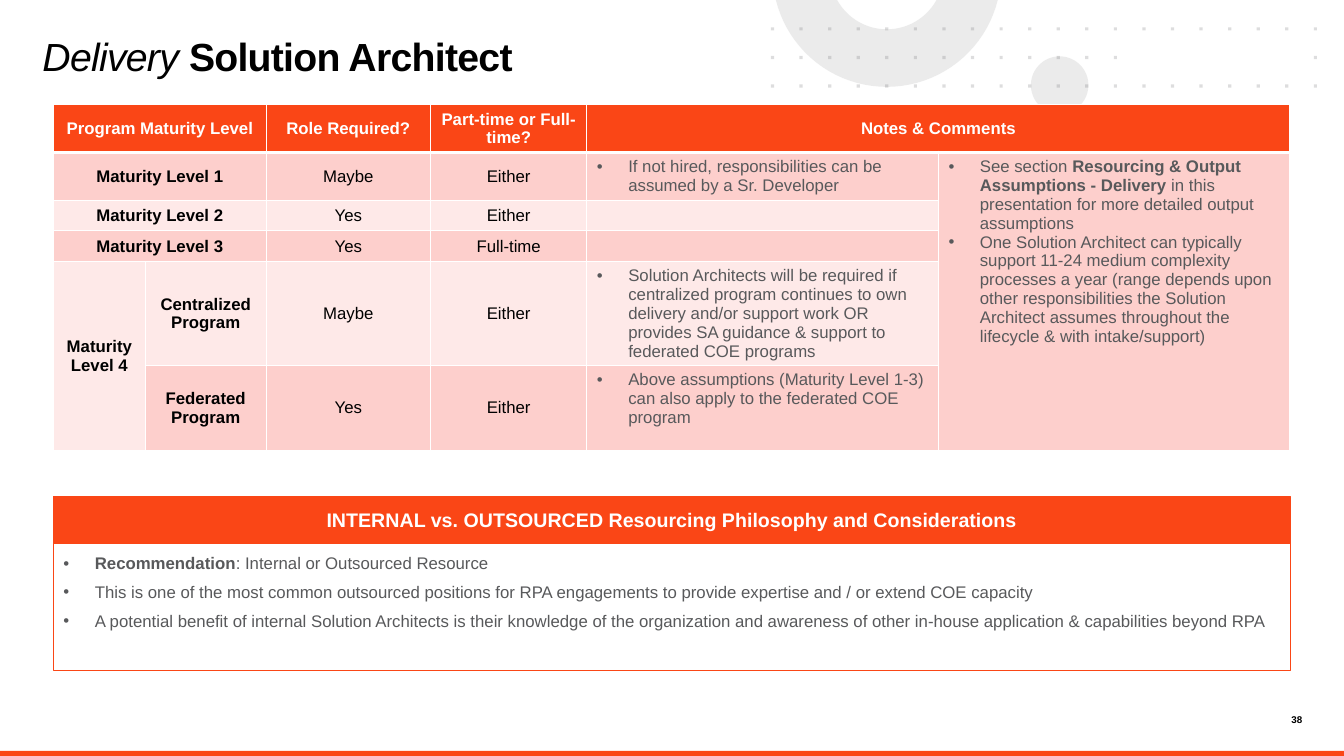
import math

from lxml import etree
from pptx import Presentation
from pptx import util as u
from pptx.dml.color import RGBColor
from pptx.enum import shapes, text
from pptx.oxml.ns import qn

ORANGE, PINK, PALE = "FA4616", "FDCFCC", "FEE9E8"
BLACK, WHITE, GREY, LIGHT = "000000", "FFFFFF", "58595B", "D9D9D9"
CENTER, LEFT = text.PP_ALIGN.CENTER, text.PP_ALIGN.LEFT
MIDDLE, TOP = text.MSO_ANCHOR.MIDDLE, text.MSO_ANCHOR.TOP


def paint(fill, colour):
    fill.solid()
    fill.fore_color.rgb = RGBColor.from_string(colour)


def write(frame, lines, colour, size=12, bullet=False, align=LEFT, after=0):
    """Fill a text frame with one paragraph per line; **marks** enclose bold text."""
    for number, line in enumerate(lines):
        paragraph = frame.paragraphs[0] if number == 0 else frame.add_paragraph()
        layout = {"alignment": align, "space_before": u.Pt(0), "space_after": u.Pt(after)}
        for name, value in layout.items():
            setattr(paragraph, name, value)
        if bullet:
            properties = paragraph._p.get_or_add_pPr()
            properties.set("marL", str(u.Cm(0.79)))
            properties.set("indent", str(u.Cm(-0.79)))
            etree.SubElement(properties, qn("a:buFont"), typeface="Arial")
            etree.SubElement(properties, qn("a:buChar"), char="•")
        for index, part in enumerate(line.split("**")):
            if part:
                run = paragraph.add_run()
                run.text = part
                font = {"name": "Arial", "size": u.Pt(size), "bold": index % 2 == 1}
                for name, value in font.items():
                    setattr(run.font, name, value)
                paint(run.font.fill, colour)


presentation = Presentation()
presentation.slide_width, presentation.slide_height = u.Cm(33.87), u.Cm(19.05)
slide = presentation.slides.add_slide(presentation.slide_layouts[1])
title, considerations = slide.placeholders

# Background decoration
circle = slide.shapes.add_shape(
    shapes.MSO_SHAPE.OVAL, u.Cm(25.98), u.Cm(1.42), u.Cm(1.45), u.Cm(1.45))

center_x, center_y = 22.35, -0.69
ring_points = []
for radius, direction in ((2.88, 1), (1.43, -1)):
    start = math.asin(-center_y / radius)
    sweep = math.pi - 2 * start
    for step in range(0, 41)[::direction]:
        angle = start + sweep * step / 40
        ring_points.append((u.Cm(center_x + radius * math.cos(angle)),
                            u.Cm(center_y + radius * math.sin(angle))))
builder = slide.shapes.build_freeform(*ring_points[0])
builder.add_line_segments(ring_points[1:])
ring = builder.convert_to_shape()

dot, pitch = 0.08, 0.72
builder = None
for row in range(3):
    for column in range(20):
        if row == 1 and 13 <= column <= 18:
            continue
        x, y = 19.43 + pitch * column, 0.69 + pitch * row
        if builder is None:
            builder = slide.shapes.build_freeform(u.Cm(x), u.Cm(y))
        else:
            builder.move_to(u.Cm(x), u.Cm(y))
        builder.add_line_segments([
            (u.Cm(x + dot), u.Cm(y)), (u.Cm(x + dot), u.Cm(y + dot)), (u.Cm(x), u.Cm(y + dot))])
dots = builder.convert_to_shape()

footer_bar = slide.shapes.add_shape(
    shapes.MSO_SHAPE.RECTANGLE, 0, u.Cm(18.92), u.Cm(33.87), u.Cm(0.13))

for shape, colour, opacity in (
        (circle, LIGHT, 50), (ring, LIGHT, 50), (dots, GREY, 20), (footer_bar, ORANGE, 100)):
    shape.shadow.inherit = False
    shape.line.fill.background()
    paint(shape.fill, colour)
    if opacity < 100:
        solid_colour = shape._element.spPr.find(".//" + qn("a:srgbClr"))
        etree.SubElement(solid_colour, qn("a:alpha"), val=str(opacity * 1000))

# Title, list panel, panel heading and slide number
heading = slide.shapes.add_shape(shapes.MSO_SHAPE.RECTANGLE, 0, 0, 0, 0)
page_number = slide.shapes.add_textbox(0, 0, 0, 0)
for shape, left, top, width, height, inset, anchor in (
        (title, 1.07, 0.99, 18.36, 1.9, 0, TOP),
        (considerations, 1.35, 13.69, 31.17, 3.2, 0.25, TOP),
        (heading, 1.35, 12.52, 31.17, 1.17, 0.25, MIDDLE),
        (page_number, 31.83, 17.98, 0.99, 0.33, 0, TOP)):
    box = {"left": left, "top": top, "width": width, "height": height}
    for name, value in box.items():
        setattr(shape, name, u.Cm(value))
    frame_format = {"word_wrap": True, "auto_size": text.MSO_AUTO_SIZE.NONE,
                    "vertical_anchor": anchor}
    for side in ("left", "top", "right", "bottom"):
        frame_format["margin_" + side] = u.Cm(inset)
    for name, value in frame_format.items():
        setattr(shape.text_frame, name, value)

write(title.text_frame, ["Delivery **Solution Architect**"], BLACK, size=28)
title_paragraph = title.text_frame.paragraphs[0]
title_paragraph.line_spacing = 0.85
title_paragraph.runs[0].font.italic = True
for run in title_paragraph.runs:
    run.font._element.set("spc", "-50")

heading.shadow.inherit = False
for shape, colour in ((considerations, WHITE), (heading, ORANGE)):
    paint(shape.fill, colour)
    paint(shape.line.fill, ORANGE)
    shape.line.width = u.Pt(0.75)
write(considerations.text_frame, [
    "**Recommendation**: Internal or Outsourced Resource",
    "This is one of the most common outsourced positions for RPA engagements to provide "
    "expertise and / or extend COE capacity",
    "A potential benefit of internal Solution Architects is their knowledge of the organization "
    "and awareness of other in-house application & capabilities beyond RPA",
], GREY, bullet=True, after=6)
write(heading.text_frame,
      ["**INTERNAL vs. OUTSOURCED Resourcing Philosophy and Considerations**"],
      WHITE, size=14, align=CENTER, after=6)
write(page_number.text_frame, ["**38**"], BLACK, size=7, align=text.PP_ALIGN.RIGHT)

# Maturity table
output_notes = [
    "See section **Resourcing & Output Assumptions - Delivery** in this presentation for more "
    "detailed output assumptions",
    "One Solution Architect can typically support 11-24 medium complexity processes a year "
    "(range depends upon other responsibilities the Solution Architect assumes throughout the "
    "lifecycle & with intake/support)"]
maturity_rows = [
    ["**Program Maturity Level**", "", "**Role Required?**", "**Part-time or Full-time?**",
     "**Notes & Comments**", ""],
    ["**Maturity Level 1**", "", "Maybe", "Either",
     "If not hired, responsibilities can be assumed by a Sr. Developer", output_notes],
    ["**Maturity Level 2**", "", "Yes", "Either", "", ""],
    ["**Maturity Level 3**", "", "Yes", "Full-time", "", ""],
    ["**Maturity Level 4**", "**Centralized Program**", "Maybe", "Either",
     "Solution Architects will be required if centralized program continues to own delivery "
     "and/or support work OR provides SA guidance & support to federated COE programs", ""],
    ["", "**Federated Program**", "Yes", "Either",
     "Above assumptions (Maturity Level 1-3) can also apply to the federated COE program", ""]]
row_fills = [ORANGE, PINK, PALE, PINK, PALE, PINK]
column_widths = [2.31, 3.05, 4.14, 3.94, 8.86, 8.86]
row_heights = [1.2, 1.2, 0.73, 0.73, 2.62, 2.13]

table = slide.shapes.add_table(
    6, 6, u.Cm(1.35), u.Cm(2.64), u.Cm(sum(column_widths)), u.Cm(sum(row_heights))).table
table.first_row = table.horz_banding = False
for column, width in zip(table.columns, column_widths):
    column.width = u.Cm(width)

for r, (row, height, colour) in enumerate(zip(maturity_rows, row_heights, row_fills)):
    table.rows[r].height = u.Cm(height)
    for c, content in enumerate(row):
        cell = table.cell(r, c)
        for side in ("lnL", "lnR", "lnT", "lnB"):
            thick = (r, side) in ((0, "lnB"), (1, "lnT"))
            border = etree.SubElement(cell._tc.get_or_add_tcPr(), qn("a:" + side),
                                      w=str(u.Pt(3 if thick else 1)))
            border_fill = etree.SubElement(border, qn("a:solidFill"))
            etree.SubElement(border_fill, qn("a:srgbClr"), val=WHITE)
        paint(cell.fill, colour)
        if not content:
            etree.SubElement(cell.text_frame.paragraphs[0]._p, qn("a:endParaRPr"), sz="1200")
            continue
        is_note = r > 0 and c >= 4
        cell.vertical_anchor = TOP if is_note else MIDDLE
        write(cell.text_frame, content if isinstance(content, list) else [content],
              WHITE if r == 0 else GREY if is_note else BLACK,
              bullet=is_note, align=LEFT if is_note else CENTER)

for first, last in (((0, 0), (0, 1)), ((0, 4), (0, 5)), ((1, 0), (1, 1)), ((2, 0), (2, 1)),
                    ((3, 0), (3, 1)), ((4, 0), (5, 0)), ((1, 5), (5, 5))):
    table.cell(*first).merge(table.cell(*last))

presentation.save("out.pptx")
